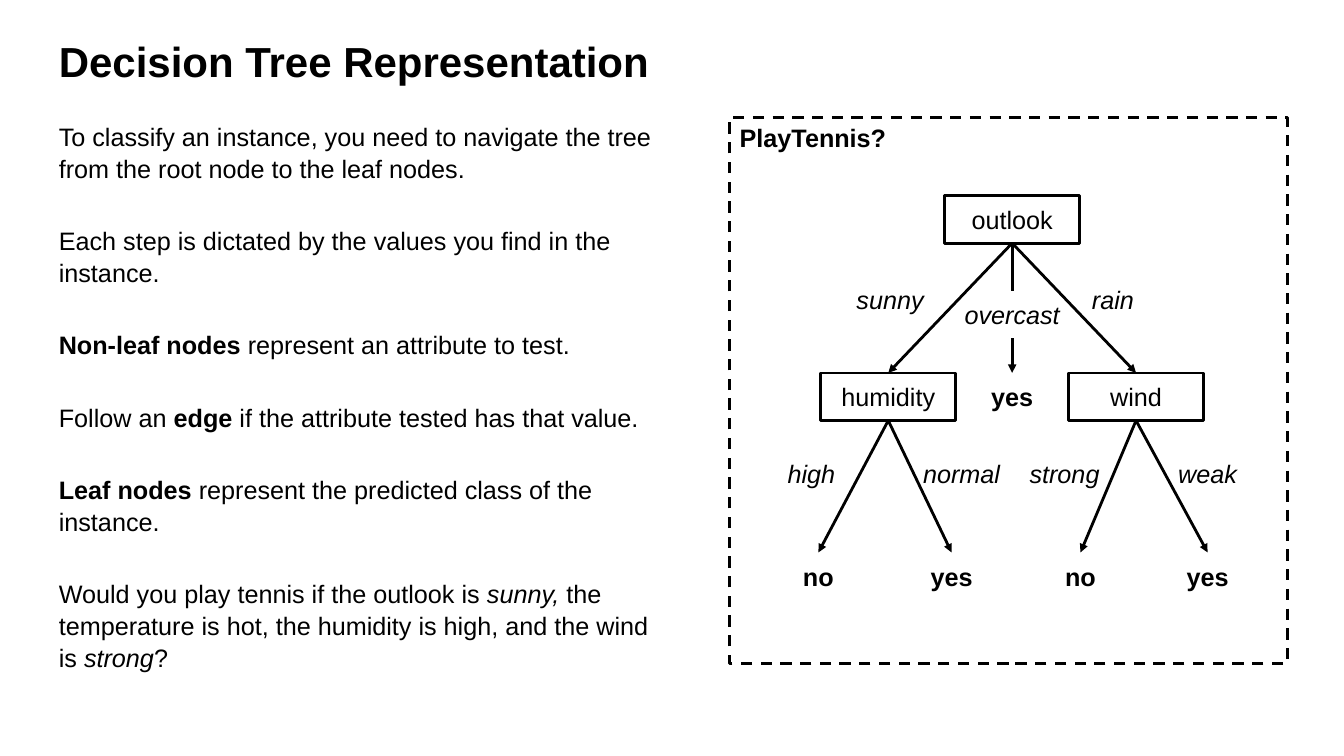
import dataclasses

import lxml.etree
import pptx
import pptx.dml.color
import pptx.enum.dml
import pptx.enum.shapes
import pptx.enum.text
import pptx.oxml.ns
import pptx.util

Pt = pptx.util.Pt
ALIGN = pptx.enum.text.PP_ALIGN
ANCHOR = pptx.enum.text.MSO_ANCHOR
BOTTOM, TOP = 2, 0


@dataclasses.dataclass(frozen=True)
class Theme:
    font: str = "Arial"
    ink: str = "000000"
    paper: str = "FFFFFF"
    title: float = 30
    text: float = 18
    line: float = 2


def rgb(value):
    return pptx.dml.color.RGBColor.from_string(value)


def add_text(p, text, theme, size=None, bold=False, italic=False):
    r = p.add_run()
    r.text = text
    r.font.name = theme.font
    r.font.size = Pt(size or theme.text)
    r.font.bold = bold
    r.font.italic = italic
    r.font.color.rgb = rgb(theme.ink)


class TreeSlide:
    def __init__(self, slide, theme):
        self.slide = slide
        self.theme = theme

    def place(self, sp, left, top, width, height):
        sp.left, sp.top, sp.width, sp.height = map(Pt, (left, top, width, height))

    def title(self, text, *box):
        sp = self.slide.shapes.title
        self.place(sp, *box)
        tf = sp.text_frame
        tf.auto_size = pptx.enum.text.MSO_AUTO_SIZE.NONE
        tf.vertical_anchor = ANCHOR.MIDDLE
        p = tf.paragraphs[0]
        p.alignment = ALIGN.LEFT
        add_text(p, text, self.theme, size=self.theme.title, bold=True)

    def body(self, paragraphs, *box):
        sp = self.slide.placeholders[1]
        self.place(sp, *box)
        tf = sp.text_frame
        tf.auto_size = pptx.enum.text.MSO_AUTO_SIZE.NONE
        tf.vertical_anchor = ANCHOR.TOP
        for i, runs in enumerate(paragraphs):
            p = tf.add_paragraph() if i else tf.paragraphs[0]
            p.line_spacing = 1.05
            p.space_before = Pt(29 if i else 0)
            pPr = p._p.get_or_add_pPr()
            pPr.set("marL", "0")
            pPr.set("indent", "0")
            lxml.etree.SubElement(pPr, pptx.oxml.ns.qn("a:buNone"))
            for text, style in runs:
                add_text(p, text, self.theme, **style)

    def box(self, text, left, top, width, height, outline=False, filled=True,
            align=ALIGN.CENTER, anchor=ANCHOR.MIDDLE, **style):
        sp = self.slide.shapes.add_shape(
            pptx.enum.shapes.MSO_SHAPE.RECTANGLE, *map(Pt, (left, top, width, height)))
        sp.shadow.inherit = False
        if filled:
            sp.fill.solid()
            sp.fill.fore_color.rgb = rgb(self.theme.paper)
        else:
            sp.fill.background()
        if outline:
            sp.line.color.rgb = rgb(self.theme.ink)
            sp.line.width = Pt(self.theme.line)
        else:
            sp.line.fill.background()
        tf = sp.text_frame
        tf.word_wrap = True
        tf.vertical_anchor = anchor
        p = tf.paragraphs[0]
        p.alignment = align
        add_text(p, text, self.theme, **style)
        return sp

    def node(self, text, center, top, width=96.5, **style):
        return self.box(text, center - width / 2, top, width, 34, **style)

    def frame(self, text, *box):
        sp = self.box(text, *box, outline=True, filled=False,
                      align=ALIGN.LEFT, anchor=ANCHOR.TOP, bold=True)
        sp.line.dash_style = pptx.enum.dml.MSO_LINE.DASH

    def edge(self, parent, child, arrow=True):
        c = self.slide.shapes.add_connector(
            pptx.enum.shapes.MSO_CONNECTOR.STRAIGHT, 0, 0, 0, 0)
        c.begin_connect(parent, BOTTOM)
        c.end_connect(child, TOP)
        c.line.color.rgb = rgb(self.theme.ink)
        c.line.width = Pt(self.theme.line)
        qn = pptx.oxml.ns.qn
        if arrow:
            lxml.etree.SubElement(c.line._ln, qn("a:tailEnd"), type="triangle")
        lxml.etree.SubElement(c._element.spPr, qn("a:effectLst"))


def main():
    prs = pptx.Presentation()
    prs.slide_width, prs.slide_height = Pt(960), Pt(540)
    s = TreeSlide(prs.slides.add_slide(prs.slide_layouts[1]), Theme())
    plain, bold, italic = {}, {"bold": True}, {"italic": True}

    s.title("Decision Tree Representation", 34.8, 20.9, 891, 45.4)
    s.body([
        [("To classify an instance, you need to navigate the tree from the root "
          "node to the leaf nodes.", plain)],
        [("Each step is dictated by the values you find in the instance.", plain)],
        [("Non-leaf nodes ", bold), ("represent an attribute to test.", plain)],
        [("Follow an ", plain), ("edge ", bold),
         ("if the attribute tested has that value.", plain)],
        [("Leaf nodes ", bold),
         ("represent the predicted class of the instance.", plain)],
        [("Would you play tennis if the outlook is ", plain), ("sunny, ", italic),
         ("the temperature is hot, the humidity is high, and the wind is ", plain),
         ("strong", italic), ("?", plain)],
    ], 34.8, 82, 445.5, 391)

    root_x, humidity_x, wind_x = 723, 634.5, 811.5
    root_y, attribute_y, leaf_y = 139.7, 266.4, 394.6
    branch_y, value_y = 196.6, 321.1

    outlook = s.node("outlook", root_x, root_y, outline=True)
    humidity = s.node("humidity", humidity_x, attribute_y, outline=True)
    wind = s.node("wind", wind_x, attribute_y, outline=True)

    s.node("sunny", 635.8, branch_y, **italic)
    overcast = s.node("overcast", root_x, 207.6, **italic)
    s.node("rain", 795, branch_y, filled=False, **italic)
    s.node("high", 579.6, value_y, **italic)
    s.node("normal", 686.9, value_y, **italic)
    s.node("strong", 760.4, value_y, width=73.4, **italic)
    s.node("weak", 862.6, value_y, **italic)

    overcast_yes = s.node("yes", root_x, attribute_y, width=61.2, **bold)
    leaves = [(parent, s.node(text, x, leaf_y, **bold)) for parent, text, x in (
        (humidity, "no", 584.6), (humidity, "yes", 679.7),
        (wind, "no", 771.8), (wind, "yes", 862.6))]

    s.frame("PlayTennis?", 521.3, 83.8, 398.2, 390.2)

    s.edge(outlook, overcast, arrow=False)
    for parent, child in [(outlook, wind), (outlook, humidity),
                          (overcast, overcast_yes), *leaves]:
        s.edge(parent, child)

    prs.save("out.pptx")


if __name__ == "__main__":
    main()
